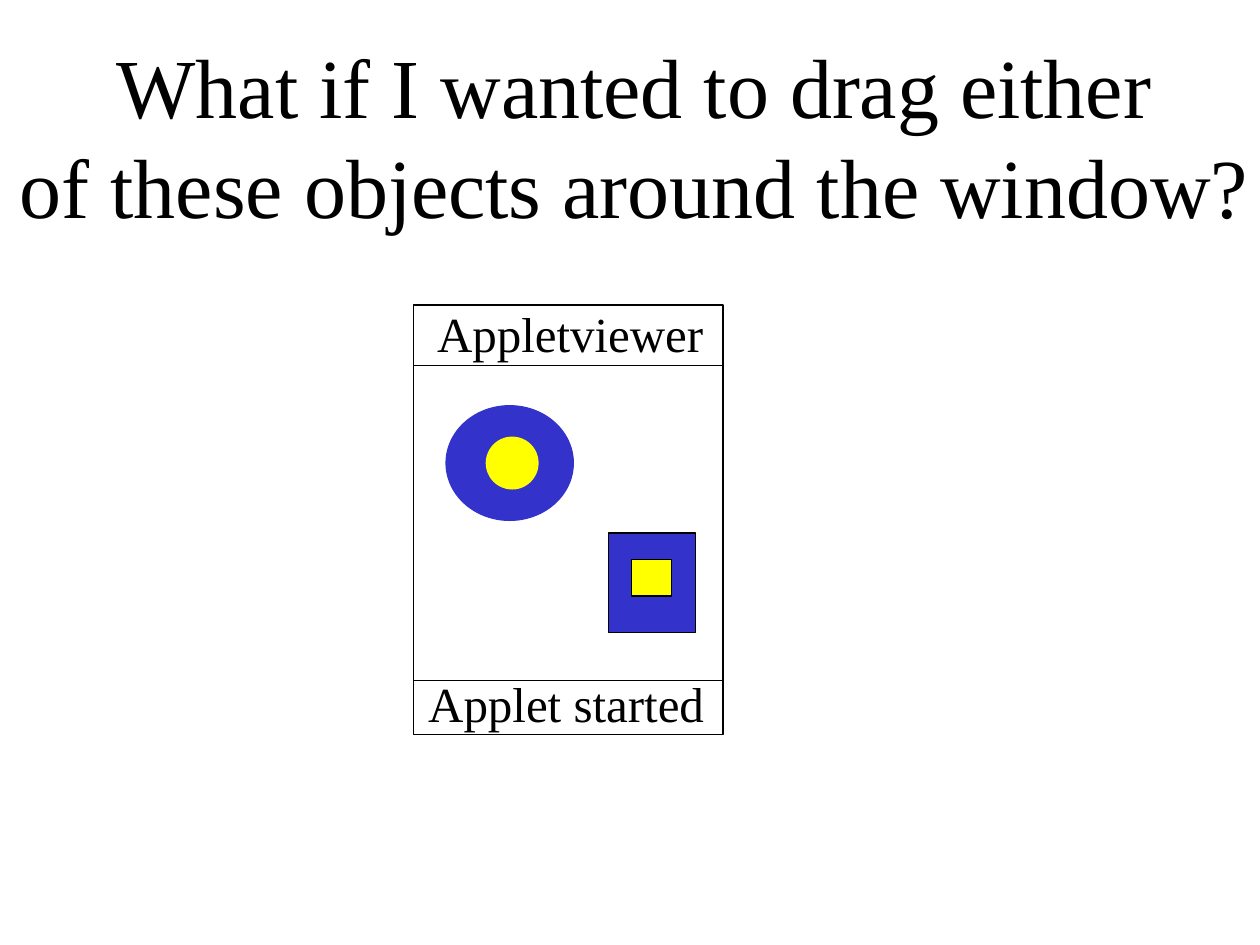
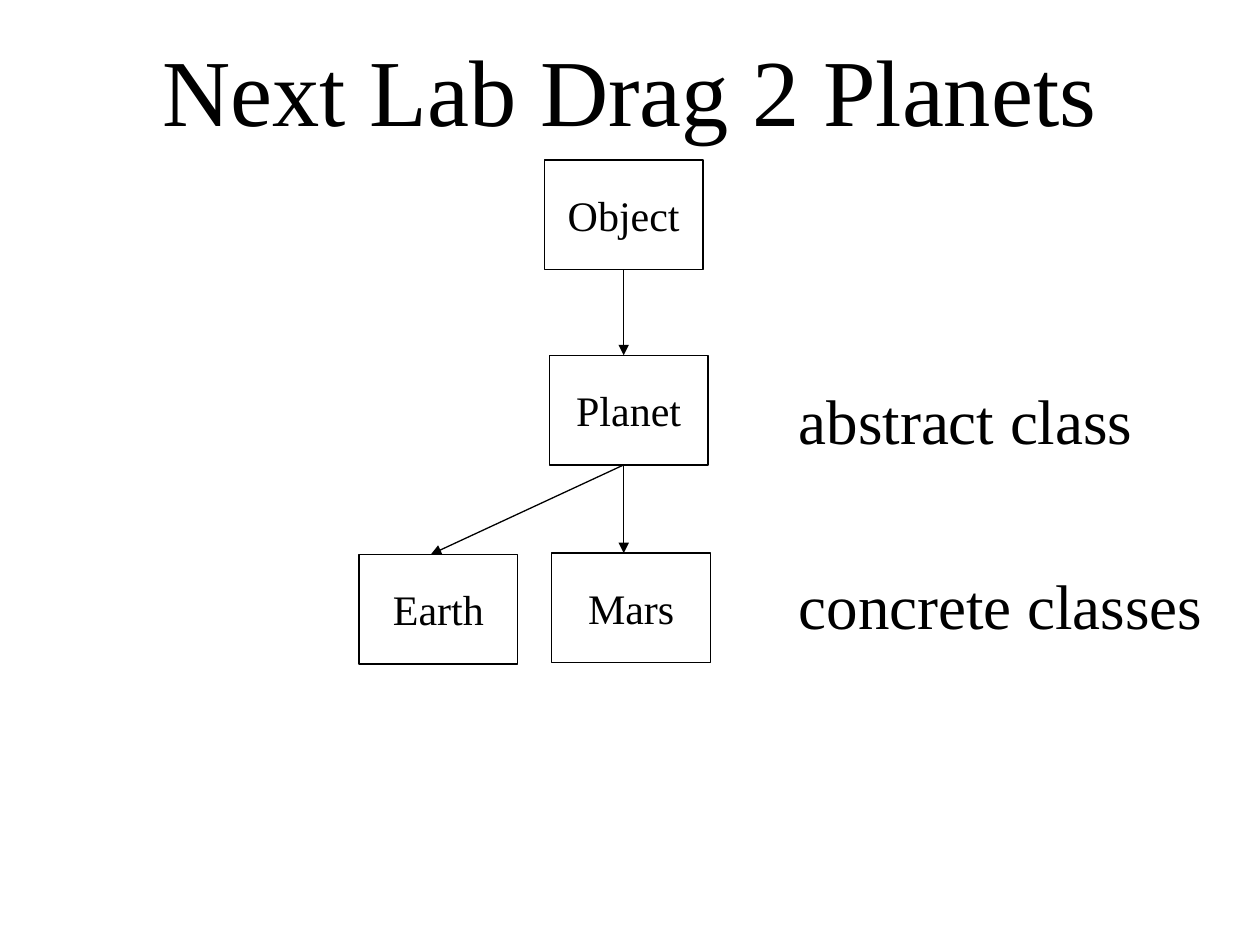
from lxml.etree import SubElement
from pptx import Presentation
from pptx.dml.color import RGBColor
from pptx.enum.shapes import MSO_CONNECTOR, MSO_SHAPE
from pptx.enum.text import MSO_ANCHOR, MSO_AUTO_SIZE, PP_ALIGN
from pptx.oxml.ns import qn
from pptx.util import Pt

PX = 9144  # one px is a hundredth of an inch
FONT = "Times New Roman"
BLACK, WHITE, BLUE, YELLOW = "000000", "FFFFFF", "3333CC", "FFFF00"
color = RGBColor.from_string


def write(shape, lines, size, align=PP_ALIGN.LEFT, anchor=MSO_ANCHOR.TOP):
    frame = shape.text_frame
    frame.text = "\n".join(lines)
    frame.word_wrap = False
    frame.auto_size = MSO_AUTO_SIZE.NONE
    frame.vertical_anchor = anchor
    for para in frame.paragraphs:
        para.alignment = align
        para.font.name = FONT
        para.font.size = Pt(size)
        para.font.color.rgb = color(BLACK)


def draw(page, kind, bounds, fill=None, line=BLACK):
    shape = page.shapes.add_shape(kind, *[value * PX for value in bounds])
    shape.shadow.inherit = False
    if fill:
        shape.fill.solid()
        shape.fill.fore_color.rgb = color(fill)
    else:
        shape.fill.background()
    shape.line.color.rgb = color(line)
    shape.line.width = Pt(0.75)
    return shape


deck = Presentation()
deck.slide_width, deck.slide_height = 1000 * PX, 750 * PX

# Titles
titles = [
    (["What if I wanted to drag either", "of these objects around the window?"],
     48, PP_ALIGN.CENTER, (0, 22, 1007, 170)),
    (["Next Lab Drag 2 Planets"], 54, PP_ALIGN.LEFT, (119, 20, 780, 100)),
]
for lines, size, align, bounds in titles:
    page = deck.slides.add_slide(deck.slide_layouts[5])
    title = page.shapes.title
    title.left, title.top, title.width, title.height = [value * PX for value in bounds]
    write(title, lines, size, align)
applet_page, planet_page = deck.slides

# Applet window
window_left, window_width = 328, 246
window_right = window_left + window_width
draw(applet_page, MSO_SHAPE.RECTANGLE, (window_left, 242, window_width, 341), WHITE)

# Objects inside the window
for kind, bounds, fill, line in [
    (MSO_SHAPE.OVAL, (354, 322, 101, 91), BLUE, BLUE),
    (MSO_SHAPE.OVAL, (386, 347, 41, 41), YELLOW, YELLOW),
    (MSO_SHAPE.RECTANGLE, (483, 423, 69, 79), BLUE, BLACK),
    (MSO_SHAPE.RECTANGLE, (501, 444, 32, 29), YELLOW, BLACK),
]:
    draw(applet_page, kind, bounds, fill, line)

# Class boxes
classes = {}
for name, left, top in [("Object", 432, 127), ("Planet", 436, 282),
                        ("Mars", 438, 439), ("Earth", 285, 440)]:
    classes[name] = draw(planet_page, MSO_SHAPE.RECTANGLE, (left, top, 126, 87))
    write(classes[name], [name], 24, PP_ALIGN.CENTER, MSO_ANCHOR.MIDDLE)

# Window dividers and inheritance arrows
trunk_x = 495
for page, ends, parent in [
    (applet_page, (window_left, 290, window_right, 290), None),
    (applet_page, (window_left, 540, window_right, 540), None),
    (planet_page, (trunk_x, 214, trunk_x, 282), "Object"),
    (planet_page, (trunk_x, 369, trunk_x, 439), None),
    (planet_page, (trunk_x, 369, 342, 440), None),
]:
    connector = page.shapes.add_connector(
        MSO_CONNECTOR.STRAIGHT, *[value * PX for value in ends])
    if parent:
        connector.begin_connect(classes[parent], 2)
    connector.line.color.rgb = color(BLACK)
    connector.line.width = Pt(0.75)
    properties = connector.element.find(qn("p:spPr"))
    if page is planet_page:
        SubElement(properties.find(qn("a:ln")), qn("a:tailEnd"), type="triangle")
    SubElement(properties, qn("a:effectLst"))

# Labels on both slides
for page, text, size, bounds in [
    (applet_page, "Appletviewer", 28, (337, 236, 231, 57)),
    (applet_page, "Applet started", 28, (330, 530, 239, 57)),
    (planet_page, "abstract class", 36, (624, 298, 285, 70)),
    (planet_page, "concrete classes", 36, (624, 445, 340, 70)),
]:
    box = page.shapes.add_textbox(*[value * PX for value in bounds])
    write(box, [text], size)

deck.save("out.pptx")
